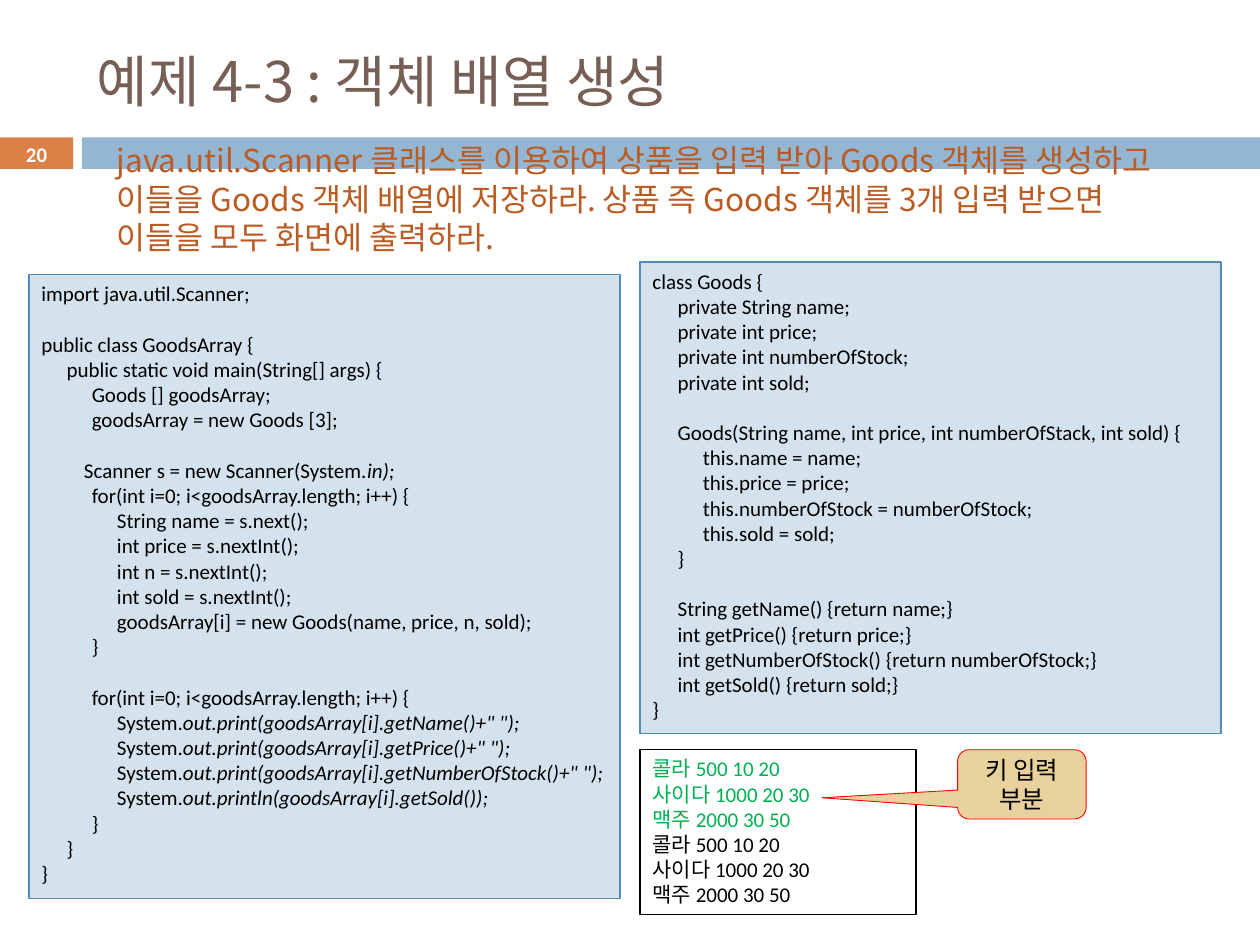
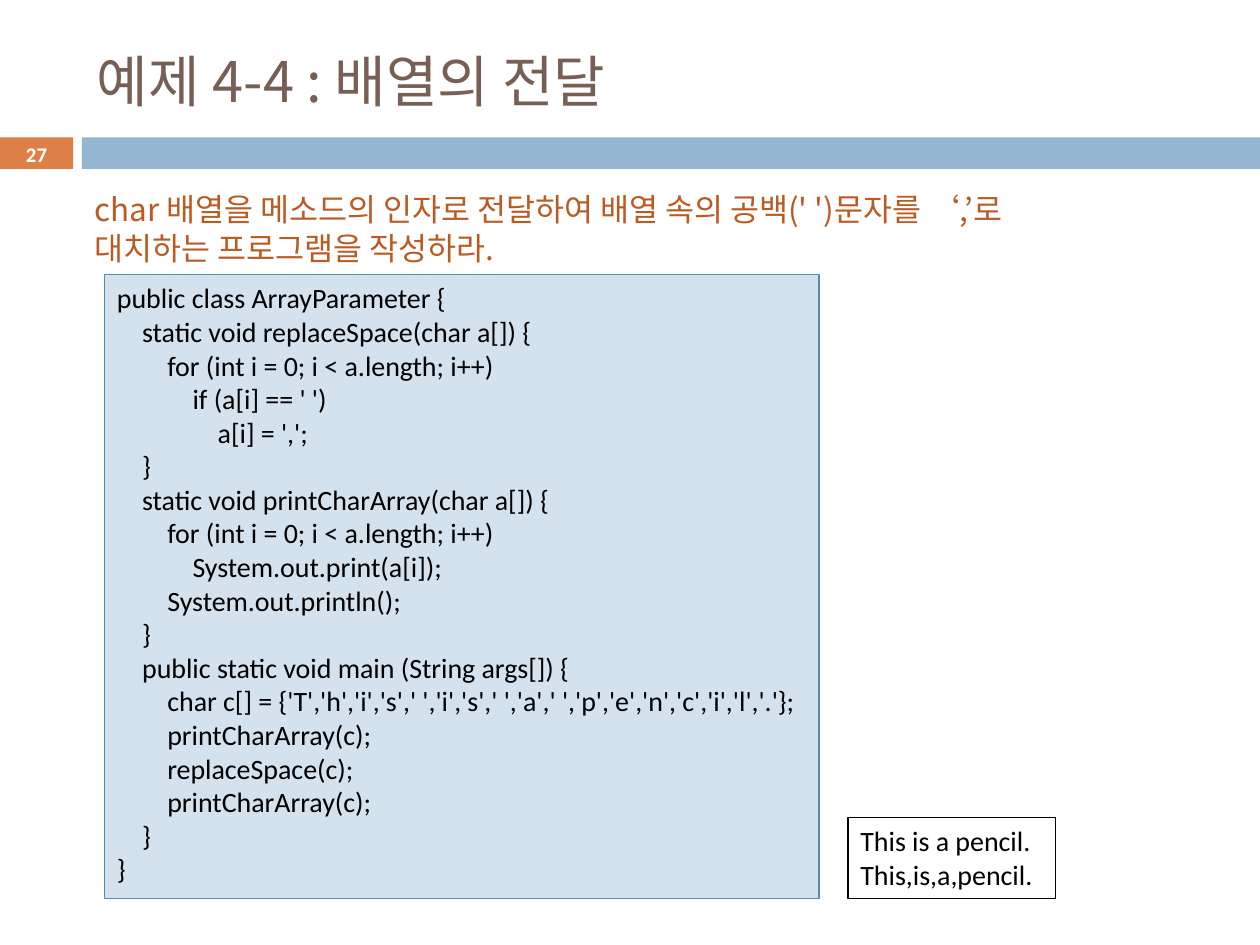
"""Build two slides of Java array examples: code boxes, results and a callout."""
from lxml.etree import SubElement
from pptx import Presentation
from pptx.dml.color import RGBColor as Rgb
from pptx.enum.shapes import MSO_SHAPE as Kind
from pptx.enum.text import MSO_ANCHOR as Anchor, PP_ALIGN as Align
from pptx.oxml.ns import qn
from pptx.util import Inches as In, Pt

ORANGE = Rgb(0xDD, 0x80, 0x47)
BLUE = Rgb(0x94, 0xB6, 0xD2)
PALE = Rgb(0xD4, 0xE2, 0xED)
EDGE = Rgb(0x55, 0x8B, 0xB8)
BROWN = Rgb(0x77, 0x5F, 0x55)
RUST = Rgb(0xB9, 0x5B, 0x22)
GREEN = Rgb(0x00, 0xB0, 0x50)
SAND = Rgb(0xE8, 0xD1, 0x9D)
RED = Rgb(0xFF, 0x00, 0x00)
BLACK = Rgb(0x00, 0x00, 0x00)
WHITE = Rgb(0xFF, 0xFF, 0xFF)
SANS, KOREAN = "Calibri", "Noto Sans CJK KR"
WIDE, HIGH = 10, 7.5
BAND, GAP, TAB = 1.09, 0.65, 0.2

ARRAY = """import java.util.Scanner;

public class GoodsArray {
    public static void main(String[] args) {
        Goods [] goodsArray;
        goodsArray = new Goods [3];

         Scanner s = new Scanner(System.*in);
        for(int i=0; i<goodsArray.length; i++) {
            String name = s.next();
            int price = s.nextInt();
            int n = s.nextInt();
            int sold = s.nextInt();
            goodsArray[i] = new Goods(name, price, n, sold);
        }

        for(int i=0; i<goodsArray.length; i++) {
            System.*out.print(goodsArray[i].getName()+" ");
            System.*out.print(goodsArray[i].getPrice()+" ");
            System.*out.print(goodsArray[i].getNumberOfStock()+" ");
            System.*out.println(goodsArray[i].getSold());
        }
    }
}"""

GOODS = """class Goods {
    private String name;
    private int price;
    private int numberOfStock;
    private int sold;

    Goods(String name, int price, int numberOfStack, int sold) {
        this.name = name;
        this.price = price;
        this.numberOfStock = numberOfStock;
        this.sold = sold;
    }

    String getName() {return name;}
    int getPrice() {return price;}
    int getNumberOfStock() {return numberOfStock;}
    int getSold() {return sold;}
}"""

PARAM = """public class ArrayParameter {
    static void replaceSpace(char a[]) {
        for (int i = 0; i < a.length; i++)
            if (a[i] == ' ')
                a[i] = ',';
    }
    static void printCharArray(char a[]) {
        for (int i = 0; i < a.length; i++)
            System.out.print(a[i]);
        System.out.println();
    }
    public static void main (String args[]) {
        char c[] = {'T','h','i','s',' ','i','s',' ','a',' ','p','e','n','c','i','l','.'};
        printCharArray(c);
        replaceSpace(c);
        printCharArray(c);
    }
}"""

STOCK = """콜라 500 10 20
사이다 1000 20 30
맥주 2000 30 50"""

PENCIL = """This is a pencil.
This,is,a,pencil."""

PAGES = [
    {
        "no": "20",
        "title": "예제 4-3 : 객체 배열 생성",
        "task": "java.util.Scanner 클래스를 이용하여 상품을 입력 받아 Goods 객체를 "
                "생성하고 이들을 Goods 객체 배열에 저장하라. 상품 즉 Goods 객체를 "
                "3개 입력 받으면 이들을 모두 화면에 출력하라.",
        "place": (0.83, 1.07, 8.56, 1.01),
        "size": 12,
        "codes": [(ARRAY, (0.23, 2.18, 4.69, 4.95)), (GOODS, (5.08, 2.08, 4.61, 3.74))],
        "result": (STOCK + "\n" + STOCK, (5.08, 5.95, 2.19, 1.31)),
        "typed": 3,
        "note": ("키 입력 부분", (7.6, 5.95, 1.02, 0.55), (-1.557, 0.194, 0.167)),
    },
    {
        "no": "27",
        "title": "예제 4-4 : 배열의 전달",
        "task": "char 배열을 메소드의 인자로 전달하여 배열 속의 공백(' ')문자를 "
                "‘,’로 대치하는 프로그램을 작성하라.",
        "place": (0.65, 1.46, 8.03, 0.71),
        "size": 16,
        "codes": [(PARAM, (0.83, 2.18, 5.67, 4.95))],
        "result": (PENCIL, (6.73, 6.49, 1.65, 0.64)),
        "typed": 0,
    },
]


def style(run, size, color, face=SANS, bold=False):
    """Format one run, Korean letters included."""
    font = run.font
    font.size, font.name, font.bold = Pt(size), face, bold
    font.color.rgb = color
    if face == KOREAN:
        SubElement(run._r.get_or_add_rPr(), qn("a:ea"), typeface=face)


def block(slide, place, fill=None, line=None, kind=Kind.RECTANGLE, width=0.75):
    """Add a flat shape; no colour means no fill or no line."""
    box = slide.shapes.add_shape(kind, *map(In, place))
    box.shadow.inherit = False
    if fill is None:
        box.fill.background()
    else:
        box.fill.solid()
        box.fill.fore_color.rgb = fill
    if line is None:
        box.line.fill.background()
    else:
        box.line.color.rgb = line
        box.line.width = Pt(width)
    return box


def label(slide, place, text, size, color, face=SANS, anchor=Anchor.TOP):
    """Add a wrapped text box and return its paragraph."""
    frame = slide.shapes.add_textbox(*map(In, place)).text_frame
    frame.word_wrap, frame.vertical_anchor = True, anchor
    frame.text = text
    para = frame.paragraphs[0]
    style(para.runs[0], size, color, face)
    return para


def indent(line):
    """Turn each full step of four leading spaces into a tab."""
    bare = line.lstrip(" ")
    steps, rest = divmod(len(line) - len(bare), 4)
    return line if rest else "\t" * steps + bare


def listing(box, text, size, typed=0):
    """Fill a box with lines; a star starts italics, typed lines are green."""
    frame = box.text_frame
    frame.word_wrap, frame.vertical_anchor = True, Anchor.TOP
    frame.text = "\n".join(map(indent, text.split("\n")))
    for row, para in enumerate(frame.paragraphs):
        para.alignment = Align.LEFT
        stops = SubElement(para._p.get_or_add_pPr(), qn("a:tabLst"))
        for step in range(1, 5):
            SubElement(stops, qn("a:tab"), pos=str(In(TAB * step)), algn="l")
        parts = para.text.split("*")
        para.clear()
        for order, part in enumerate(parts):
            if part:
                run = para.add_run()
                run.text = part
                style(run, size, GREEN if row < typed else BLACK)
                run.font.italic = order > 0
        SubElement(para._p, qn("a:endParaRPr"), sz=str(size * 100))


def frame_up(slide, page):
    """Draw the bands, title and page number that every slide has."""
    block(slide, (0, BAND, 0.58, 0.25), ORANGE)
    block(slide, (GAP, BAND, WIDE - GAP, 0.25), BLUE)
    label(slide, (0.67, 0.25, 8.92, 0.77), page["title"], 32, BROWN, KOREAN, Anchor.MIDDLE)
    mark = label(slide, (0, BAND, 0.58, 0.27), page["no"], 11.9, WHITE, anchor=Anchor.MIDDLE)
    mark.alignment = Align.CENTER
    mark.runs[0].font.bold = True


def callout(slide, text, place, bends):
    """Add the speech bubble that points at the typed lines."""
    box = block(slide, place, SAND, RED, Kind.ROUNDED_RECTANGULAR_CALLOUT, 0.5)
    for at, bend in enumerate(bends):
        box.adjustments[at] = bend
    frame = box.text_frame
    frame.text, frame.word_wrap = text, True
    frame.vertical_anchor = Anchor.MIDDLE
    frame.paragraphs[0].alignment = Align.CENTER
    style(frame.paragraphs[0].runs[0], 14, BLACK)


def main():
    """Build and save the deck."""
    deck = Presentation()
    deck.slide_width, deck.slide_height = In(WIDE), In(HIGH)
    for page in PAGES:
        slide = deck.slides.add_slide(deck.slide_layouts[6])
        frame_up(slide, page)
        task = label(slide, page["place"], page["task"], 18, RUST, KOREAN)
        task.line_spacing = Pt(21.8)
        for code, place in page["codes"]:
            listing(block(slide, place, PALE, EDGE), code, page["size"])
        text, place = page["result"]
        listing(block(slide, place, line=BLACK), text, page["size"], page["typed"])
        if "note" in page:
            callout(slide, *page["note"])
    deck.save("out.pptx")


if __name__ == "__main__":
    main()
